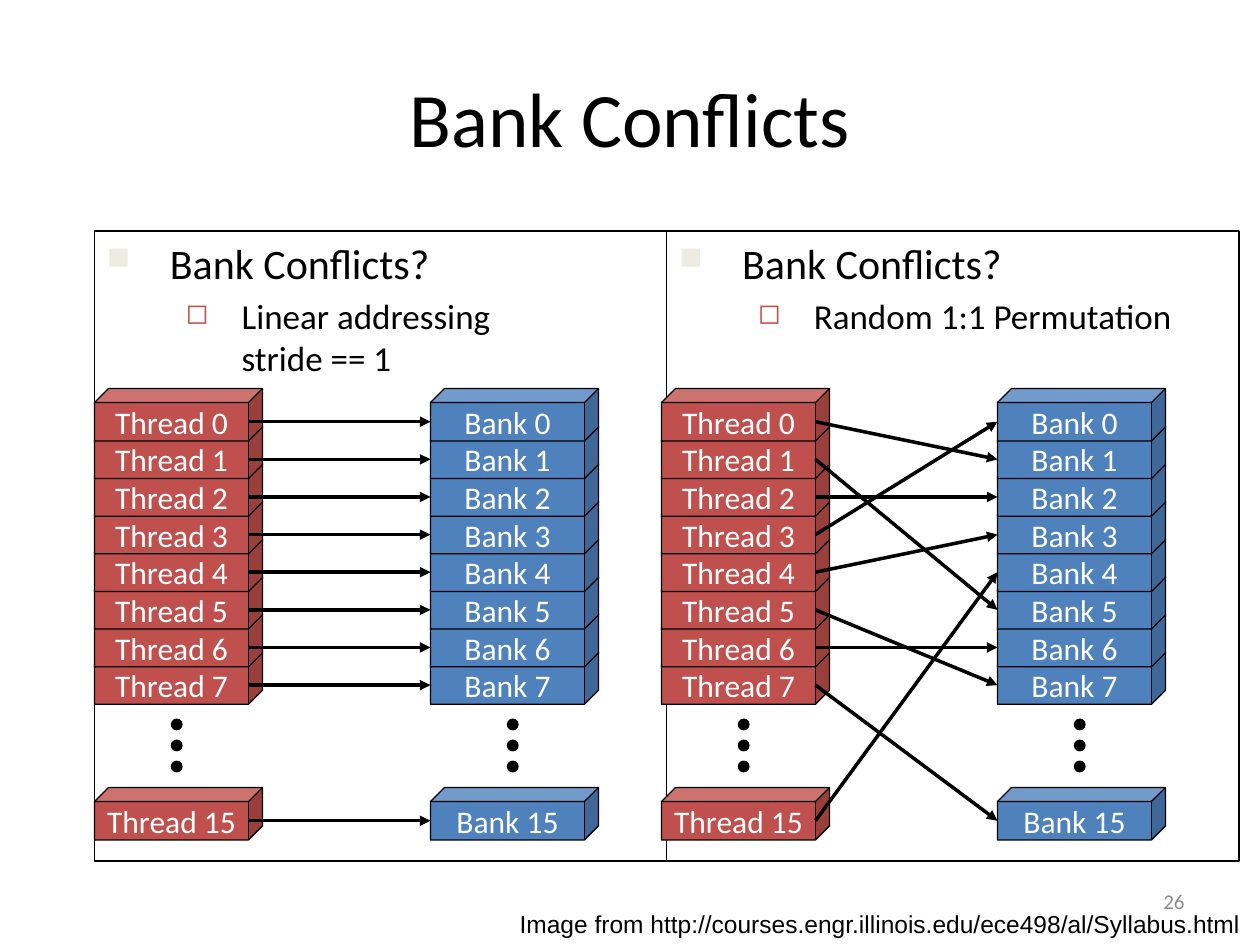
from typing import NamedTuple

from lxml.etree import SubElement
from pptx import Presentation
from pptx.dml.color import RGBColor
from pptx.enum.shapes import MSO_CONNECTOR, MSO_SHAPE
from pptx.enum.text import MSO_ANCHOR, PP_ALIGN
from pptx.oxml.ns import qn
from pptx.shapes.autoshape import Shape
from pptx.slide import Slide
from pptx.text.text import _Paragraph
from pptx.util import Pt

BLACK = RGBColor(0x00, 0x00, 0x00)
WHITE = RGBColor(0xFF, 0xFF, 0xFF)
GRAY = RGBColor(0x8C, 0x8C, 0x8C)
CREAM = RGBColor(0xEE, 0xEC, 0xE1)
RED = RGBColor(0xC0, 0x50, 0x4D)
BLUE = RGBColor(0x4F, 0x81, 0xBD)

PANEL_TOP, PANEL_WIDTH, PANEL_HEIGHT = 132, 327, 360
CUBE_WIDTH, CUBE_HEIGHT, CUBE_DEPTH = 96, 30, 8
STACK_TOP, ROW_PITCH, LAST_TOP = 222, 21.5, 450
BANK_OFFSET = 192
DOT_LEFT, DOT_TOP, DOT_SIZE, DOT_PITCH = 44, 411, 6, 12
ROWS = (0, 1, 2, 3, 4, 5, 6, 7, 15)


class Bullet(NamedTuple):
    symbol: str
    color: RGBColor
    percent: int
    margin: float
    hanging: float
    level: int
    size: int
    space_before: float


class Panel(NamedTuple):
    left: float
    diagram_left: float
    detail: tuple[str, ...]
    banks: tuple[int, ...]


class Label(NamedTuple):
    left: float
    top: float
    width: float
    height: float
    text: str
    size: int
    font: str
    color: RGBColor
    align: PP_ALIGN
    anchor: MSO_ANCHOR


HEADING = Bullet("■", CREAM, 75, 36, 36, 0, 24, 0)
DETAIL = Bullet("◻", RED, 80, 77, 32, 1, 20, 4)

PANELS = (
    Panel(54, 54, ("Linear addressing", "stride == 1"), ROWS),
    Panel(381, 378, ("Random 1:1 Permutation",), (1, 5, 2, 0, 3, 7, 6, 15, 4)),
)

LABELS = (
    Label(36, 21.6, 648, 90, "Bank Conflicts", 44, "Calibri", BLACK,
          PP_ALIGN.CENTER, MSO_ANCHOR.MIDDLE),
    Label(0, 516, 716, 24.5,
          "Image from http://courses.engr.illinois.edu/ece498/al/Syllabus.html",
          14, "Arial", BLACK, PP_ALIGN.RIGHT, MSO_ANCHOR.TOP),
    Label(516, 500.5, 168, 28.75, "26", 12, "Calibri", GRAY,
          PP_ALIGN.RIGHT, MSO_ANCHOR.MIDDLE),
)


def add_span(para: _Paragraph, text: str, size: int, color: RGBColor,
             font: str = "Calibri") -> None:
    span = para.add_run()
    span.text = text
    span.font.name = font
    span.font.size = Pt(size)
    span.font.color.rgb = color


def add_label(page: Slide, label: Label) -> None:
    box = page.shapes.add_textbox(Pt(label.left), Pt(label.top),
                                  Pt(label.width), Pt(label.height))
    frame = box.text_frame
    frame.word_wrap = True
    frame.vertical_anchor = label.anchor
    para = frame.paragraphs[0]
    para.alignment = label.align
    add_span(para, label.text, label.size, label.color, label.font)


def add_outlined(page: Slide, kind: MSO_SHAPE, left: float, top: float,
                 width: float, height: float, fill: RGBColor | None) -> Shape:
    shape = page.shapes.add_shape(kind, Pt(left), Pt(top), Pt(width), Pt(height))
    shape.shadow.inherit = False
    if fill is None:
        shape.fill.background()
    else:
        shape.fill.solid()
        shape.fill.fore_color.rgb = fill
    shape.line.color.rgb = BLACK
    shape.line.width = Pt(0.75)
    return shape


def write_bullet(para: _Paragraph, bullet: Bullet, lines: tuple[str, ...]) -> None:
    properties = para._p.get_or_add_pPr()
    properties.set("marL", str(Pt(bullet.margin)))
    properties.set("indent", str(-Pt(bullet.hanging)))
    color = SubElement(properties, qn("a:buClr"))
    SubElement(color, qn("a:srgbClr"), val=str(bullet.color))
    SubElement(properties, qn("a:buSzPct"), val=str(bullet.percent * 1000))
    SubElement(properties, qn("a:buChar"), char=bullet.symbol)
    para.level = bullet.level
    para.alignment = PP_ALIGN.LEFT
    para.space_before = Pt(bullet.space_before)
    for index, line in enumerate(lines):
        if index:
            para.add_line_break()
        add_span(para, line, bullet.size, BLACK)


def add_panel(page: Slide, panel: Panel) -> None:
    box = add_outlined(page, MSO_SHAPE.RECTANGLE, panel.left, PANEL_TOP,
                       PANEL_WIDTH, PANEL_HEIGHT, None)
    frame = box.text_frame
    frame.word_wrap = True
    frame.vertical_anchor = MSO_ANCHOR.TOP
    write_bullet(frame.paragraphs[0], HEADING, ("Bank Conflicts?",))
    write_bullet(frame.add_paragraph(), DETAIL, panel.detail)


def row_top(row: int) -> float:
    return LAST_TOP if row == ROWS[-1] else STACK_TOP + row * ROW_PITCH


def add_stack(page: Slide, left: float, name: str, fill: RGBColor) -> None:
    for row in reversed(ROWS):
        cube = add_outlined(page, MSO_SHAPE.CUBE, left, row_top(row),
                            CUBE_WIDTH, CUBE_HEIGHT, fill)
        cube.adjustments[0] = CUBE_DEPTH / CUBE_HEIGHT
        frame = cube.text_frame
        frame.word_wrap = False
        frame.vertical_anchor = MSO_ANCHOR.MIDDLE
        para = frame.paragraphs[0]
        para.alignment = PP_ALIGN.CENTER
        add_span(para, f"{name} {row}", 18, WHITE)
    for dot in range(3):
        add_outlined(page, MSO_SHAPE.OVAL, left + DOT_LEFT,
                     DOT_TOP + dot * DOT_PITCH, DOT_SIZE, DOT_SIZE, BLACK)


def add_arrow(page: Slide, left: float, thread: int, bank: int) -> None:
    face_middle = (CUBE_HEIGHT + CUBE_DEPTH) / 2
    arrow = page.shapes.add_connector(
        MSO_CONNECTOR.STRAIGHT,
        Pt(left + CUBE_WIDTH - CUBE_DEPTH), Pt(row_top(thread) + face_middle),
        Pt(left + BANK_OFFSET), Pt(row_top(bank) + face_middle))
    arrow.line.color.rgb = BLACK
    arrow.line.width = Pt(2)
    SubElement(arrow.line._get_or_add_ln(), qn("a:tailEnd"), type="triangle")
    SubElement(arrow._element.spPr, qn("a:effectLst"))


def add_diagram(page: Slide, panel: Panel) -> None:
    add_stack(page, panel.diagram_left + BANK_OFFSET, "Bank", BLUE)
    add_stack(page, panel.diagram_left, "Thread", RED)
    for thread, bank in zip(ROWS, panel.banks):
        add_arrow(page, panel.diagram_left, thread, bank)


def main() -> None:
    deck = Presentation()
    deck.slide_width, deck.slide_height = Pt(720), Pt(540)
    page = deck.slides.add_slide(deck.slide_layouts[6])
    for label in LABELS:
        add_label(page, label)
    for panel in PANELS:
        add_panel(page, panel)
    for panel in PANELS:
        add_diagram(page, panel)
    deck.save("out.pptx")


if __name__ == "__main__":
    main()
